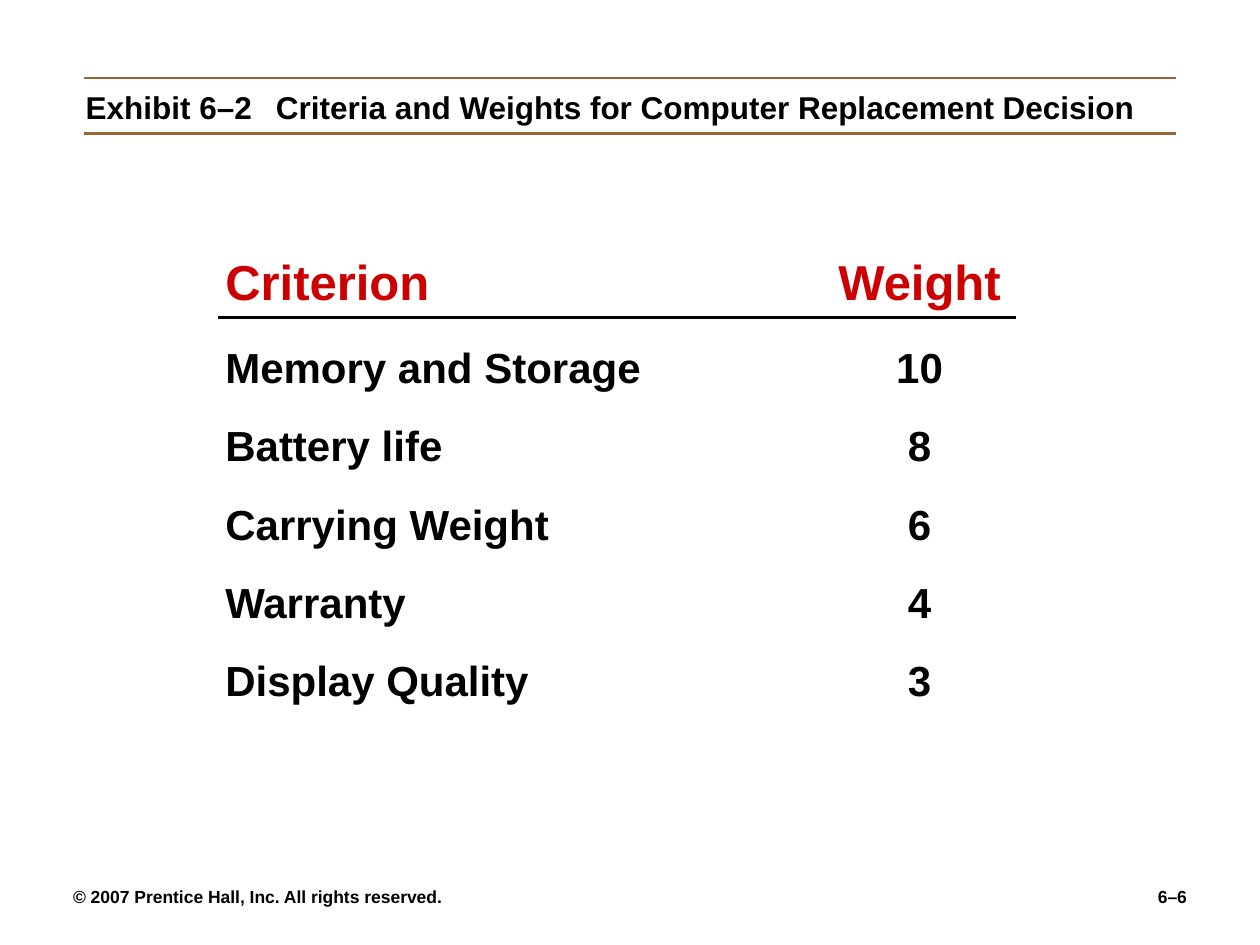
from lxml import etree
from pptx import Presentation
from pptx.dml.color import RGBColor
from pptx.enum import shapes, text
from pptx.oxml.ns import qn
from pptx.util import Inches, Pt

COLORS = {"ink": "000000", "heading": "CC0000", "rule": "996633", "paper": "FFFFFF"}
CRITERIA = [
    ("Memory and Storage", 10),
    ("Battery life", 8),
    ("Carrying Weight", 6),
    ("Warranty", 4),
    ("Display Quality", 3),
]


def set_frame(box, anchor, side=0.1):
    frame = box.text_frame
    frame.word_wrap = True
    frame.auto_size = text.MSO_AUTO_SIZE.NONE
    frame.vertical_anchor = anchor
    frame.margin_left = frame.margin_right = Inches(side)
    frame.margin_top = frame.margin_bottom = Inches(0.05)
    return frame


def add_box(page, left, top, width, height, anchor=text.MSO_ANCHOR.TOP, side=0.1):
    box = page.shapes.add_textbox(
        Inches(left), Inches(top), Inches(width), Inches(height))
    return set_frame(box, anchor, side)


def write(para, words, size, color="ink", align=text.PP_ALIGN.LEFT,
          before=0, tab=None, tab_kind="l", hanging=0):
    para.alignment = align
    para.space_before = Pt(before)
    props = para._p.get_or_add_pPr()
    if hanging:
        props.set("marL", str(Inches(hanging)))
        props.set("indent", str(-Inches(hanging)))
    if tab is not None:
        stops = etree.SubElement(props, qn("a:tabLst"))
        etree.SubElement(stops, qn("a:tab"), pos=str(Inches(tab)), algn=tab_kind)
    span = para.add_run()
    span.text = words
    font = span.font
    font.name, font.size, font.bold = "Arial", Pt(size), True
    font.color.rgb = RGBColor.from_string(COLORS[color])


def add_rule(page, left, right, y, color, width):
    rule = page.shapes.add_connector(
        shapes.MSO_CONNECTOR.STRAIGHT,
        Inches(left), Inches(y), Inches(right), Inches(y))
    rule.line.color.rgb = RGBColor.from_string(COLORS[color])
    rule.line.width = Pt(width)
    etree.SubElement(rule._element.spPr, qn("a:effectLst"))


def add_title(page):
    title = page.shapes.title
    title.left, title.top = Inches(0.58), Inches(0.65)
    title.width, title.height = Inches(8.83), Inches(0.4)
    frame = set_frame(title, text.MSO_ANCHOR.MIDDLE)
    write(frame.paragraphs[0],
          "Exhibit 6–2\tCriteria and Weights for Computer Replacement Decision",
          18, tab=1.51, hanging=1.51)
    for y in (0.62, 1.06):
        add_rule(page, 0.67, 9.33, y, "rule", 1.5)


def add_criteria(page):
    frame = add_box(page, 1.69, 1.95, 6.56, 3.58)
    columns = {"tab": 5.51, "tab_kind": "ctr"}
    write(frame.paragraphs[0], "Criterion\tWeight", 28, "heading", **columns)
    for index, (name, weight) in enumerate(CRITERIA):
        write(frame.add_paragraph(), f"{name}\t{weight}", 24,
              before=16 if index else 17.5, **columns)
    add_rule(page, 1.73, 8.06, 2.52, "ink", 2.25)


def add_footer(page):
    bottom = text.MSO_ANCHOR.BOTTOM
    notice = add_box(page, 0.58, 6.75, 4.42, 0.5, bottom, side=0)
    write(notice.paragraphs[0],
          "© 2007 Prentice Hall, Inc. All rights reserved.", 10)
    number = add_box(page, 7, 6.75, 2.42, 0.5, bottom, side=0)
    write(number.paragraphs[0], "6–6", 10, align=text.PP_ALIGN.RIGHT)


def main():
    deck = Presentation()
    deck.slide_width, deck.slide_height = Inches(10), Inches(7.5)
    page = deck.slides.add_slide(deck.slide_layouts[5])
    page.background.fill.solid()
    page.background.fill.fore_color.rgb = RGBColor.from_string(COLORS["paper"])

    # Title between two rules
    add_title(page)
    # Criteria list with its weights
    add_criteria(page)
    # Copyright line and page number
    add_footer(page)

    deck.save("out.pptx")


if __name__ == "__main__":
    main()
